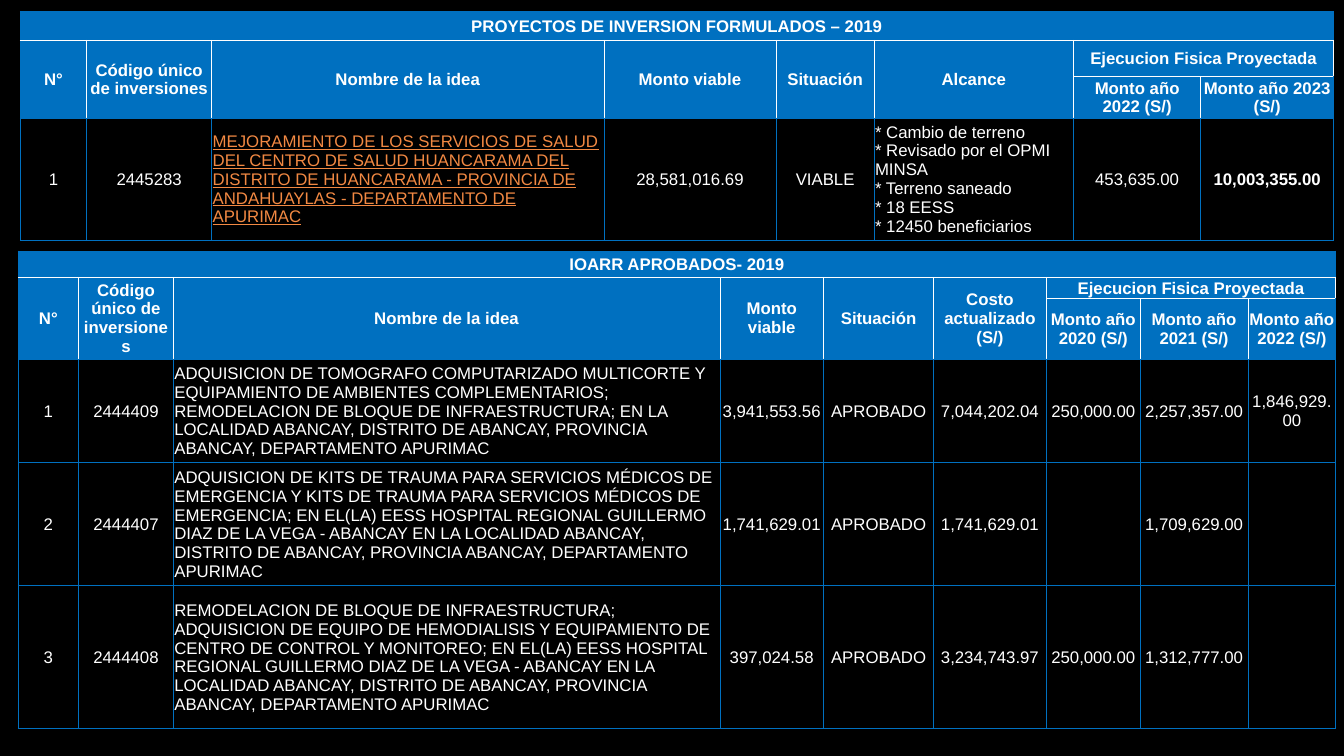
from dataclasses import dataclass
from typing import NamedTuple

from lxml.etree import SubElement
from pptx import Presentation
from pptx.dml.color import RGBColor
from pptx.enum.text import MSO_ANCHOR, PP_ALIGN
from pptx.oxml.ns import qn
from pptx.util import Inches, Pt


@dataclass(frozen=True)
class Theme:
    back: str = "000000"
    blue: str = "0070C0"
    white: str = "FFFFFF"
    link: str = "F28943"
    font: str = "Arial"
    size: int = 12
    line: float = 0.5


class Entry(NamedTuple):
    text: str
    left: bool = False
    bold: bool = False
    link: bool = False


@dataclass
class Grid:
    title: str
    x: float
    y: float
    cols: list[float]
    rows: list[float]
    heads: list[str]
    years: list[int]
    body: list[list[Entry]]


THEME = Theme()
GROUP = "Ejecucion Fisica Proyectada"
HEADS = ["N°", "Código único de inversiones", "Nombre de la idea", "Monto viable", "Situación"]


def write(cell, text: str, *, left: bool = False, bold: bool = False, link: bool = False) -> None:
    """Fill a cell with text in the given format."""
    cell.vertical_anchor = MSO_ANCHOR.MIDDLE
    cell.margin_left = cell.margin_right = cell.margin_top = Inches(0.01)
    cell.margin_bottom = 0
    para = cell.text_frame.paragraphs[0]
    para.alignment = PP_ALIGN.LEFT if left else PP_ALIGN.CENTER
    size = str(THEME.size * 100)
    if not text:
        SubElement(para._p, qn("a:endParaRPr"), sz=size)
        return
    para.text = text
    for run in para.runs:
        font = run.font
        font.name, font.size = THEME.font, Pt(THEME.size)
        font.bold, font.underline = bold, link
        font.color.rgb = RGBColor.from_string(THEME.link if link else THEME.white)
    for gap in para._p.findall(qn("a:br")):
        SubElement(gap, qn("a:rPr"), sz=size)


def edge(cell, **sides: str) -> None:
    """Draw the cell borders; each side (L, R, T, B) has its colour."""
    props = cell._tc.get_or_add_tcPr()
    for side, color in sides.items():
        line = SubElement(props, qn(f"a:ln{side}"), w=str(Pt(THEME.line)))
        fill = SubElement(line, qn("a:solidFill"))
        SubElement(fill, qn("a:srgbClr"), val=color)


def draw(slide, grid: Grid) -> None:
    count, lead = len(grid.cols), len(grid.heads)
    last = count - 1
    frame = slide.shapes.add_table(
        len(grid.rows), count, Inches(grid.x), Inches(grid.y),
        Inches(sum(grid.cols)), Inches(sum(grid.rows)))
    table = frame.table
    table.first_row = table.horz_banding = False
    for col, width in zip(table.columns, grid.cols):
        col.width = Inches(width)
    for row, height in zip(table.rows, grid.rows):
        row.height = Inches(height)

    # Header rows followed by the data
    top = [
        [grid.title] + [""] * last,
        grid.heads + [GROUP] + [""] * (last - lead),
        [""] * lead + [f"Monto año {year} (S/)" for year in grid.years],
    ]
    lines = [[Entry(text, bold=True) for text in row] for row in top] + grid.body
    for i, row in enumerate(lines):
        head = i < len(top)
        for j, entry in enumerate(row):
            cell = table.cell(i, j)
            write(cell, **entry._asdict())

            def tint(inner: bool) -> str:
                return THEME.white if head and inner else THEME.blue

            edge(cell, L=tint(i > 0 and j > 0), R=tint(i > 0 and j < last),
                 T=tint(i > 0), B=tint(i == 0 or (i == 1 and j >= lead)))
            if head:
                cell.fill.solid()
                cell.fill.fore_color.rgb = RGBColor.from_string(THEME.blue)
            else:
                cell.fill.background()

    # Joined header cells
    table.cell(0, 0).merge(table.cell(0, last))
    table.cell(1, lead).merge(table.cell(1, last))
    for j in range(lead):
        table.cell(1, j).merge(table.cell(2, j))


def line(code: str, name: str, *sums: str, number: int) -> list[Entry]:
    """One row of approved works."""
    cost, *rest = sums
    return [Entry(str(number)), Entry(code), Entry(name, left=True), Entry(cost),
            Entry("APROBADO"), *map(Entry, rest)]


PLANS = Grid(
    "PROYECTOS DE INVERSION FORMULADOS – 2019", 0.2, 0.11,
    [0.66, 1.24, 3.89, 1.71, 0.97, 1.98, 1.26, 1.32], [0.29, 0.36, 0.41, 1.21],
    HEADS + ["Alcance"], [2022, 2023],
    [[
        Entry("1"), Entry("2445283"),
        Entry("MEJORAMIENTO DE LOS SERVICIOS DE SALUD DEL CENTRO DE SALUD HUANCARAMA "
              "DEL DISTRITO DE HUANCARAMA - PROVINCIA DE ANDAHUAYLAS - DEPARTAMENTO "
              "DE APURIMAC", left=True, link=True),
        Entry("28,581,016.69"), Entry("VIABLE"),
        Entry("* Cambio de terreno\n* Revisado por el OPMI MINSA\n* Terreno saneado\n"
              "* 18 EESS\n* 12450 beneficiarios", left=True),
        Entry("453,635.00"), Entry("10,003,355.00", bold=True),
    ]])

WORKS = Grid(
    "IOARR APROBADOS- 2019", 0.18, 2.49,
    [0.6, 0.94, 5.42, 1.03, 1.09, 1.12, 0.93, 1.07, 0.87],
    [0.26, 0.21, 0.6, 1.03, 1.22, 1.42],
    HEADS + ["Costo actualizado (S/)"], [2020, 2021, 2022],
    [
        line("2444409",
             "ADQUISICION DE TOMOGRAFO COMPUTARIZADO MULTICORTE Y EQUIPAMIENTO DE "
             "AMBIENTES COMPLEMENTARIOS; REMODELACION DE BLOQUE DE INFRAESTRUCTURA; EN LA "
             "LOCALIDAD ABANCAY, DISTRITO DE ABANCAY, PROVINCIA ABANCAY, DEPARTAMENTO "
             "APURIMAC",
             "3,941,553.56", "7,044,202.04", "250,000.00", "2,257,357.00", "1,846,929.00",
             number=1),
        line("2444407",
             "ADQUISICION DE KITS DE TRAUMA PARA SERVICIOS MÉDICOS DE EMERGENCIA Y KITS DE "
             "TRAUMA PARA SERVICIOS MÉDICOS DE EMERGENCIA; EN EL(LA) EESS HOSPITAL REGIONAL "
             "GUILLERMO DIAZ DE LA VEGA - ABANCAY EN LA LOCALIDAD ABANCAY, DISTRITO DE "
             "ABANCAY, PROVINCIA ABANCAY, DEPARTAMENTO APURIMAC",
             "1,741,629.01", "1,741,629.01", "", "1,709,629.00", "", number=2),
        line("2444408",
             "REMODELACION DE BLOQUE DE INFRAESTRUCTURA; ADQUISICION DE EQUIPO DE "
             "HEMODIALISIS Y EQUIPAMIENTO DE CENTRO DE CONTROL Y MONITOREO; EN EL(LA) EESS "
             "HOSPITAL REGIONAL GUILLERMO DIAZ DE LA VEGA - ABANCAY EN LA LOCALIDAD "
             "ABANCAY, DISTRITO DE ABANCAY, PROVINCIA ABANCAY, DEPARTAMENTO APURIMAC",
             "397,024.58", "3,234,743.97", "250,000.00", "1,312,777.00", "", number=3),
    ])


def main() -> None:
    deck = Presentation()
    deck.slide_width, deck.slide_height = Inches(13.33), Inches(7.5)
    slide = deck.slides.add_slide(deck.slide_layouts[6])
    back = slide.background.fill
    back.solid()
    back.fore_color.rgb = RGBColor.from_string(THEME.back)
    for grid in (PLANS, WORKS):
        draw(slide, grid)
    deck.save("out.pptx")


if __name__ == "__main__":
    main()
